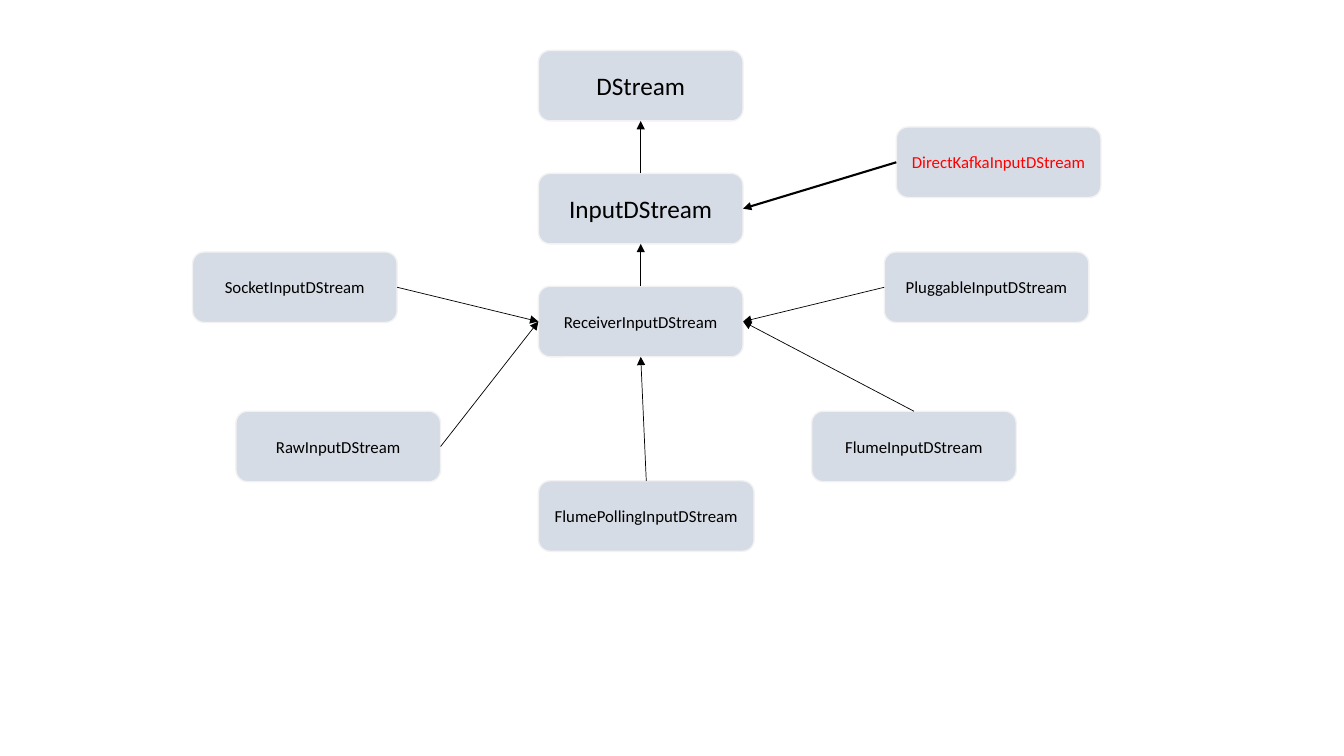
import pptx
import pptx.dml.color
import pptx.enum.shapes
import pptx.enum.text
import pptx.oxml.ns
import pptx.util
from lxml import etree

PX = 9144  # EMU per px, 100 px to the inch
BLACK = pptx.dml.color.RGBColor(0x00, 0x00, 0x00)
RED = pptx.dml.color.RGBColor(0xFF, 0x00, 0x00)
BOX_FILL = pptx.dml.color.RGBColor(0xD6, 0xDC, 0xE5)
BOX_EDGE = pptx.dml.color.RGBColor(0xF2, 0xF2, 0xF2)
BOX_WIDTH, BOX_HEIGHT = 203, 70
TOP, LEFT, BOTTOM, RIGHT = range(4)

# class name: left, top, width, text size, text colour
CLASSES = {
    "DStream": (534, 50, BOX_WIDTH, 18, BLACK),
    "InputDStream": (534, 172, BOX_WIDTH, 18, BLACK),
    "ReceiverInputDStream": (534, 284, BOX_WIDTH, 12, BLACK),
    "SocketInputDStream": (191, 250, BOX_WIDTH, 12, BLACK),
    "RawInputDStream": (234, 408, BOX_WIDTH, 12, BLACK),
    "FlumePollingInputDStream": (534, 477, 214, 12, BLACK),
    "FlumeInputDStream": (805, 408, BOX_WIDTH, 12, BLACK),
    "PluggableInputDStream": (877, 250, BOX_WIDTH, 12, BLACK),
    "DirectKafkaInputDStream": (889, 126, BOX_WIDTH, 12, RED),
}

# subclass, its side, parent class, its side, line width
INHERITANCE = [
    ("InputDStream", TOP, "DStream", BOTTOM, 0.5),
    ("ReceiverInputDStream", TOP, "InputDStream", BOTTOM, 0.5),
    ("FlumePollingInputDStream", TOP, "ReceiverInputDStream", BOTTOM, 0.5),
    ("SocketInputDStream", RIGHT, "ReceiverInputDStream", LEFT, 0.5),
    ("RawInputDStream", RIGHT, "ReceiverInputDStream", LEFT, 0.5),
    ("PluggableInputDStream", LEFT, "ReceiverInputDStream", RIGHT, 0.5),
    ("FlumeInputDStream", TOP, "ReceiverInputDStream", RIGHT, 0.5),
    ("DirectKafkaInputDStream", LEFT, "InputDStream", RIGHT, 1.5),
]


def add_class_box(slide, name, left, top, width, size, color):
    box = slide.shapes.add_shape(
        pptx.enum.shapes.MSO_SHAPE.ROUNDED_RECTANGLE,
        left * PX, top * PX, width * PX, BOX_HEIGHT * PX)
    box.shadow.inherit = False
    box.fill.solid()
    box.fill.fore_color.rgb = BOX_FILL
    box.line.color.rgb = BOX_EDGE
    box.line.width = pptx.util.Pt(1)
    frame = box.text_frame
    frame.word_wrap = True
    frame.vertical_anchor = pptx.enum.text.MSO_ANCHOR.MIDDLE
    paragraph = frame.paragraphs[0]
    paragraph.alignment = pptx.enum.text.PP_ALIGN.CENTER
    label = paragraph.add_run()
    label.text = name
    label.font.name = "Calibri"
    label.font.size = pptx.util.Pt(size)
    label.font.color.rgb = color
    return box


def add_inheritance_arrow(slide, subclass, start_side, parent, end_side, width):
    arrow = slide.shapes.add_connector(
        pptx.enum.shapes.MSO_CONNECTOR.STRAIGHT, 0, 0, 0, 0)
    arrow.begin_connect(subclass, start_side)
    arrow.end_connect(parent, end_side)
    arrow.line.color.rgb = BLACK
    arrow.line.width = pptx.util.Pt(width)
    qn = pptx.oxml.ns.qn
    properties = arrow.element.spPr
    etree.SubElement(properties.find(qn("a:ln")), qn("a:tailEnd"), type="triangle")
    etree.SubElement(properties, qn("a:effectLst"))


def main():
    deck = pptx.Presentation()
    deck.slide_width = 1333 * PX
    deck.slide_height = 750 * PX
    slide = deck.slides.add_slide(deck.slide_layouts.get_by_name("Blank"))
    boxes = {name: add_class_box(slide, name, *look)
             for name, look in CLASSES.items()}
    for subclass, start_side, parent, end_side, width in INHERITANCE:
        add_inheritance_arrow(slide, boxes[subclass], start_side,
                              boxes[parent], end_side, width)
    deck.save("out.pptx")


if __name__ == "__main__":
    main()
